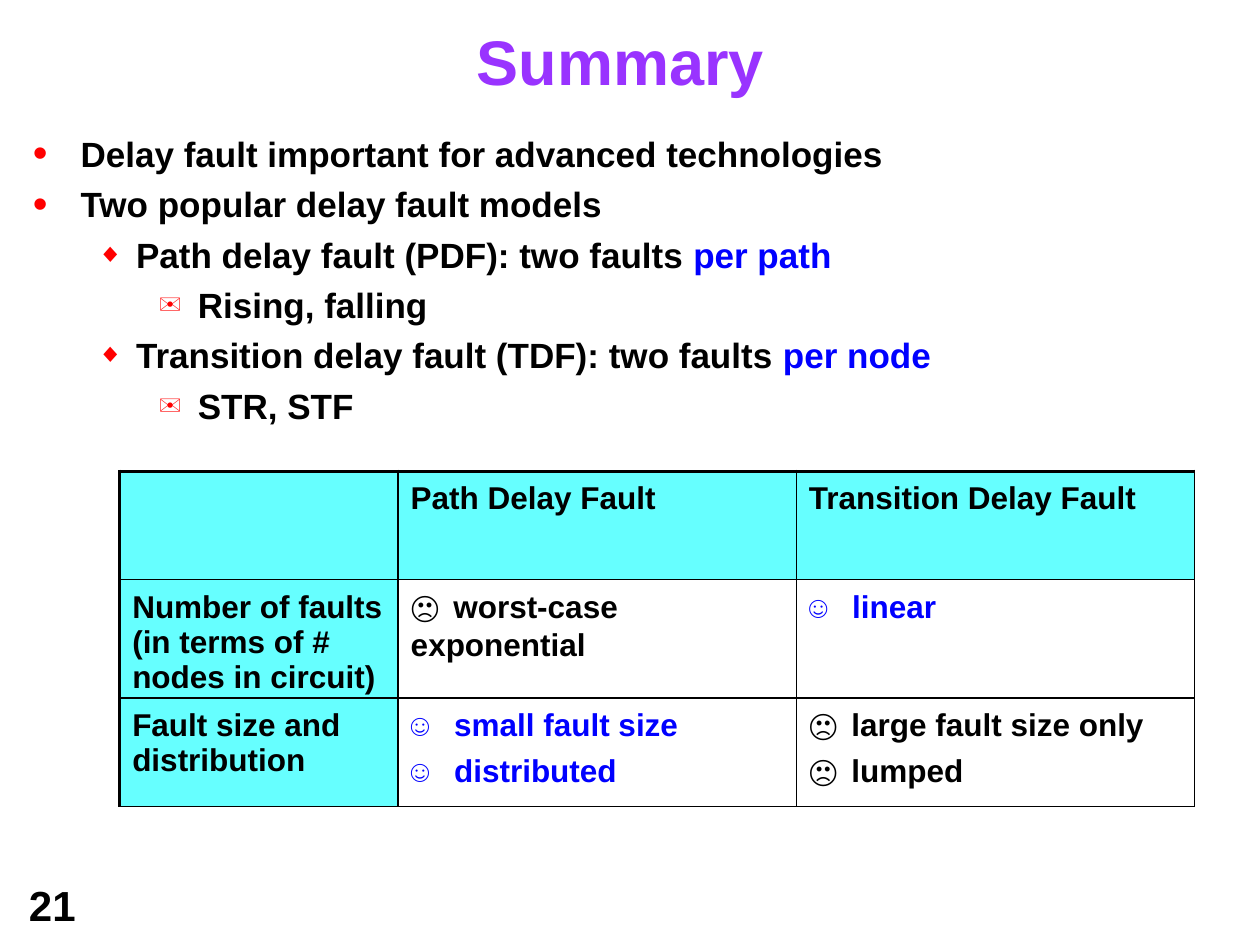
from lxml import etree
from pptx import Presentation
from pptx.dml.color import RGBColor
from pptx.enum.text import MSO_ANCHOR, MSO_AUTO_SIZE, PP_ALIGN
from pptx.oxml import parse_xml
from pptx.util import Inches, Pt

TOP = MSO_ANCHOR.TOP
NO_FIT = MSO_AUTO_SIZE.NONE
LEFT, CENTER = PP_ALIGN.LEFT, PP_ALIGN.CENTER
NAMESPACE = "http://schemas.openxmlformats.org/drawingml/2006/main"
BLACK, BLUE, RED = "000000", "0000FF", "FF0000"
PURPLE, CYAN = "9933FF", "66FFFF"


def color(hex_text):
    return RGBColor.from_string(hex_text)


def write_runs(paragraph, parts, size):
    for text, hex_text in parts:
        run = paragraph.add_run()
        run.text = text
        symbol = text[0] in "☺🙁"
        run.font.name = "Courier New" if symbol else "Arial"
        run.font.size = Pt(size)
        run.font.bold = not symbol
        run.font.color.rgb = color(hex_text)
        if symbol:
            run.font._element.set("spc", "160" if text[0] == "☺" else "-290")


presentation = Presentation()
presentation.slide_width = Inches(10)
presentation.slide_height = Inches(7.5)
column = presentation.slide_width / 100
row = presentation.slide_height / 75
slide = presentation.slides.add_slide(presentation.slide_layouts[1])
title, body = slide.placeholders
page_number = slide.shapes.add_textbox(0, 0, 0, 0)

boxes = [
    (title, 37.7, 1.8, 23.1, 6.3),
    (body, 2.5, 10.5, 72.5, 23.6),
    (page_number, 2.3, 70, 4.5, 4),
]
for shape, left, top, width, height in boxes:
    shape.left, shape.top = int(left * column), int(top * row)
    shape.width, shape.height = int(width * column), int(height * row)
    frame = shape.text_frame
    frame.margin_left = frame.margin_right = frame.margin_bottom = 0
    frame.margin_top = 0
    frame.word_wrap = True
    frame.auto_size = NO_FIT
    frame.vertical_anchor = TOP

heading = title.text_frame.paragraphs[0]
heading.alignment = CENTER
write_runs(heading, [("Summary", PURPLE)], 36)
number = page_number.text_frame.paragraphs[0]
number.line_spacing = Pt(27.6)
write_runs(number, [("21", BLACK)], 24)

levels = [
    ("•", 120, 3.9, -3.8),
    ("◆", 75, 8.3, -3.1),
    ("✉", 90, 13.2, -3.1),
]
points = [
    (0, [("Delay fault important for advanced technologies", BLACK)]),
    (0, [("Two popular delay fault models", BLACK)]),
    (1, [("Path delay fault (PDF): two faults ", BLACK), ("per path", BLUE)]),
    (2, [("Rising, falling", BLACK)]),
    (1, [("Transition delay fault (TDF): two faults ", BLACK), ("per node", BLUE)]),
    (2, [("STR, STF", BLACK)]),
]
for index, (level, parts) in enumerate(points):
    frame = body.text_frame
    paragraph = frame.add_paragraph() if index else frame.paragraphs[0]
    bullet, percent, margin, indent = levels[level]
    paragraph.level = level
    paragraph.alignment = LEFT
    properties = paragraph._p.get_or_add_pPr()
    properties.set("marL", str(int(margin * column)))
    properties.set("indent", str(int(indent * column)))
    bullet_color = etree.SubElement(properties, f"{{{NAMESPACE}}}buClr")
    etree.SubElement(bullet_color, f"{{{NAMESPACE}}}srgbClr", val=RED)
    etree.SubElement(properties, f"{{{NAMESPACE}}}buSzPct", val=str(percent * 1000))
    etree.SubElement(properties, f"{{{NAMESPACE}}}buFont", typeface="Arial")
    etree.SubElement(properties, f"{{{NAMESPACE}}}buChar", char=bullet)
    paragraph.space_before = Pt(4.8 if index else 0)
    write_runs(paragraph, parts, 20)

cells = [
    [[], [[("Path Delay Fault", BLACK)]], [[("Transition Delay Fault", BLACK)]]],
    [
        [[("Number of faults (in terms of # nodes in circuit)", BLACK)]],
        [[("🙁 ", BLACK), ("worst-case exponential", BLACK)]],
        [[("☺ ", BLUE), ("linear", BLUE)]],
    ],
    [
        [[("Fault size and", BLACK)], [("distribution", BLACK)]],
        [[("☺ ", BLUE), ("small fault size", BLUE)],
         [("☺ ", BLUE), ("distributed", BLUE)]],
        [[("🙁 ", BLACK), ("large fault size only", BLACK)],
         [("🙁 ", BLACK), ("lumped", BLACK)]],
    ],
]
column_shares = [22.1, 31.6, 31.6]
row_shares = [8.6, 9.4, 8.6]
table = slide.shapes.add_table(
    3, 3, int(9.5 * column), int(37.4 * row),
    int(sum(column_shares) * column), int(sum(row_shares) * row),
).table
table.horz_banding = False
for table_column, share in zip(table.columns, column_shares):
    table_column.width = int(share * column)
for table_row, share in zip(table.rows, row_shares):
    table_row.height = int(share * row)

for row_index, row_cells in enumerate(cells):
    for column_index, paragraphs in enumerate(row_cells):
        cell = table.cell(row_index, column_index)
        cell.margin_left, cell.margin_top = int(column), int(0.8 * row)
        cell.margin_right = cell.margin_bottom = 0
        cell.vertical_anchor = TOP
        properties = cell._tc.get_or_add_tcPr()
        for side in "LRTB":
            outer = (side == "L" and column_index == 0) or (side == "T" and row_index == 0)
            properties.append(parse_xml(
                f'<a:ln{side} xmlns:a="{NAMESPACE}" w="{Pt(2.25 if outer else 1)}">'
                f'<a:solidFill><a:srgbClr val="{BLACK}"/></a:solidFill></a:ln{side}>'
            ))
        if row_index == 0 or column_index == 0:
            cell.fill.solid()
            cell.fill.fore_color.rgb = color(CYAN)
        else:
            cell.fill.background()
        for index, parts in enumerate(paragraphs):
            frame = cell.text_frame
            paragraph = frame.add_paragraph() if index else frame.paragraphs[0]
            paragraph.space_before = Pt(4.3 if index and column_index else 0)
            write_runs(paragraph, parts, 18)

presentation.save("out.pptx")
